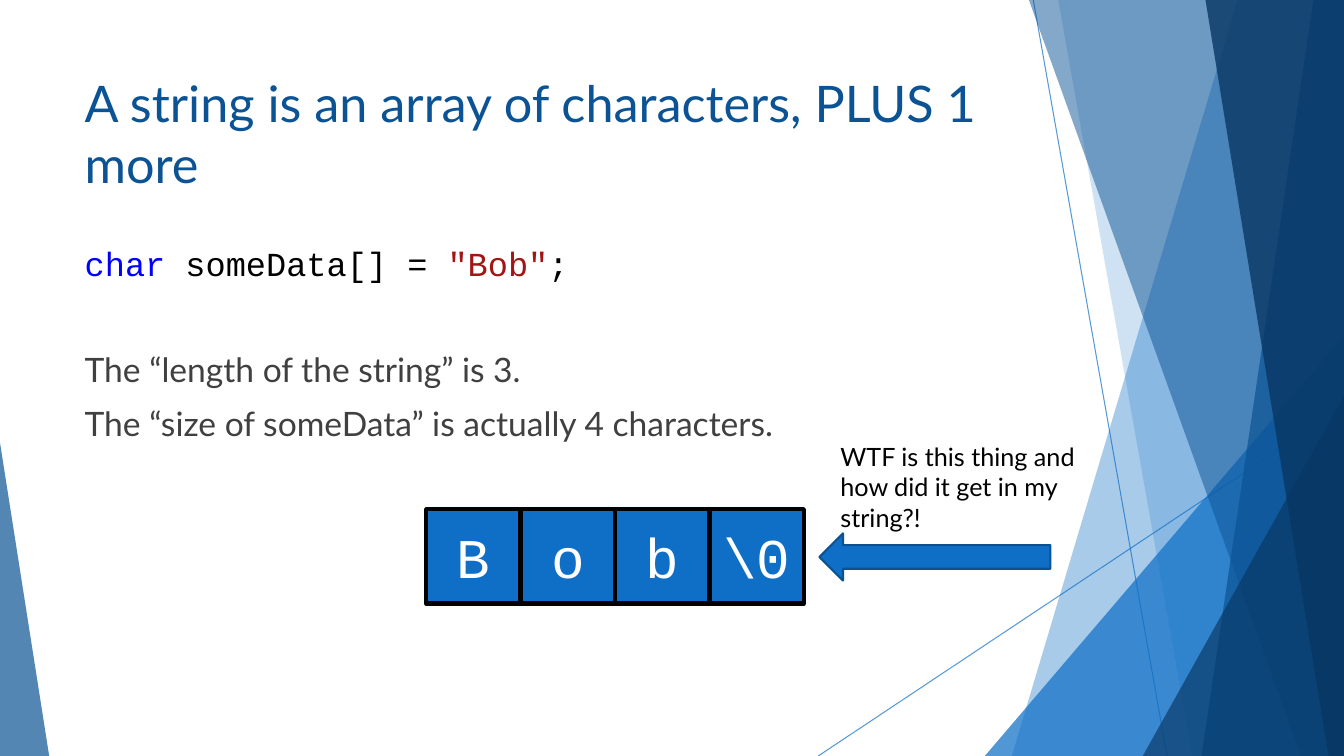
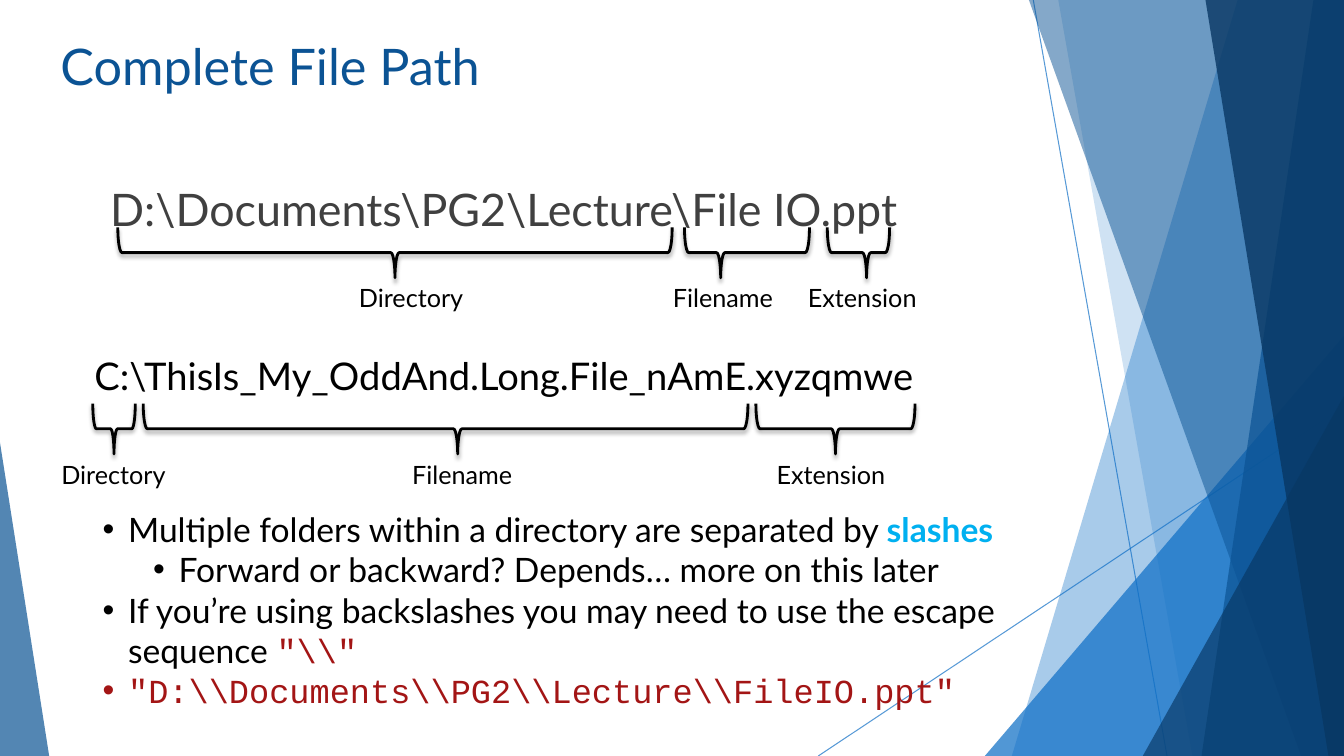
from dataclasses import dataclass
from typing import Any, NamedTuple

from lxml import etree
from pptx import Presentation
from pptx import util as u
from pptx.dml import color
from pptx.enum import shapes, text
from pptx.oxml import ns

Cm, Pt = u.Cm, u.Pt
KIND, ALIGN, ANCHOR = shapes.MSO_SHAPE, text.PP_ALIGN, text.MSO_ANCHOR
WIDE, HIGH = 33.87, 19.05
BLUE, DEEP, NAVY, EDGE = "0F6FC6", "0B5394", "083763", "0B5292"
BLACK, WHITE, GREY = "000000", "FFFFFF", "404040"
CODE, RED, CYAN = "0000FF", "A31515", "00B0F0"
LATO, MONO = "Lato", "Courier New"


class Box(NamedTuple):
    x: float
    y: float
    w: float
    h: float


class Run(NamedTuple):
    text: str
    hue: str = BLACK
    font: str = LATO
    bold: bool = False


@dataclass
class Para:
    runs: list[Run]
    size: float = 18
    align: Any = ALIGN.LEFT
    before: float = 0
    line: float = 1.0
    level: int = 0
    bullet: bool = False


class Band(NamedTuple):
    """A strip from its slanted left edge to the right side of the slide."""
    top: float
    foot: float
    hue: str
    alpha: int


class Peak(NamedTuple):
    """A triangle standing on the foot of the slide; tip is 0 left, 1 right."""
    x: float
    y: float
    w: float
    tip: int
    hue: str
    alpha: int


class Part(NamedTuple):
    """A brace under a stretch of a file path, with its label."""
    x: float
    span: float
    tip: float
    name: str
    mid: float


RAYS = [(26.04, 0, 29.41, HIGH), (WIDE, 10.24, 20.62, HIGH)]
DECOR = [
    Band(31.19, 25.5, BLUE, 36),
    Band(26.67, 30.05, BLUE, 20),
    Peak(24.82, 8.46, 9.05, 1, BLUE, 72),
    Band(25.93, 32.79, DEEP, 50),
    Band(33.1, 30.28, DEEP, 70),
    Band(30.38, 33.48, NAVY, 80),
    Peak(28.8, 9.98, 5.07, 1, NAVY, 66),
    Peak(0, 11.15, 1.24, 0, DEEP, 70),
]


def put(item: Any, **vals: Any) -> None:
    for key, val in vals.items():
        setattr(item, key, val)


def sub(node: Any, tag: str, **vals: Any) -> Any:
    kid = etree.SubElement(node, ns.qn(tag))
    for key, val in vals.items():
        kid.set(key, str(val))
    return kid


def paint(fill: Any, hue: str, alpha: int = 100) -> None:
    fill.solid()
    fill.fore_color.rgb = color.RGBColor.from_string(hue)
    if alpha < 100:
        node = fill._xPr.find(".//" + ns.qn("a:srgbClr"))
        sub(node, "a:alpha", val=alpha * 1000)


def place(item: Any, box: Box) -> None:
    put(item, left=Cm(box.x), top=Cm(box.y), width=Cm(box.w), height=Cm(box.h))


def style(item: Any, hue: str = "", alpha: int = 100, edge: str = "", thick: float = 0) -> None:
    item.shadow.inherit = False
    if hue:
        paint(item.fill, hue, alpha)
    else:
        item.fill.background()
    if edge:
        paint(item.line.fill, edge)
        item.line.width = Pt(thick)
    else:
        item.line.fill.background()


def mark(para: Any, spec: Para) -> None:
    """Set the bullet and the indent that goes with it."""
    props = para._p.get_or_add_pPr()
    if spec.bullet:
        props.set("marL", str(Cm(0.64 + 1.27 * spec.level)))
        props.set("indent", str(Cm(-0.64)))
        sub(props, "a:buFont", typeface="Arial")
        sub(props, "a:buChar", char="•")
    else:
        put_zero = {"marL": "0", "indent": "0"}
        props.attrib.update(put_zero)
        sub(props, "a:buNone")


def write(item: Any, paras: list[Para], anchor: Any = ANCHOR.TOP) -> None:
    frame = item.text_frame
    put(frame, word_wrap=True, auto_size=text.MSO_AUTO_SIZE.NONE, vertical_anchor=anchor)
    for n, spec in enumerate(paras):
        para = frame.add_paragraph() if n else frame.paragraphs[0]
        put(para, alignment=spec.align, level=spec.level, line_spacing=spec.line,
            space_before=Pt(spec.before), space_after=Pt(0))
        mark(para, spec)
        for bit in spec.runs:
            run = para.add_run()
            run.text = bit.text
            put(run.font, name=bit.font, size=Pt(spec.size), bold=bit.bold)
            paint(run.font.fill, bit.hue)


def note(slide: Any, box: Box, paras: list[Para]) -> None:
    item = slide.shapes.add_textbox(0, 0, 0, 0)
    place(item, box)
    write(item, paras)


def ray(slide: Any, ends: tuple) -> Any:
    line = slide.shapes.add_connector(shapes.MSO_CONNECTOR.STRAIGHT, *map(Cm, ends))
    paint(line.line.fill, BLUE, 70)
    line.line.width = Pt(0.75)
    sub(line.element.spPr, "a:effectLst")
    return line


def facet(slide: Any, spec: Band | Peak) -> Any:
    if isinstance(spec, Band):
        pen = slide.shapes.build_freeform(Cm(spec.top), 0)
        rest = [(WIDE, 0), (WIDE, HIGH), (spec.foot, HIGH)]
        pen.add_line_segments([(Cm(x), Cm(y)) for x, y in rest])
        item = pen.convert_to_shape()
    else:
        item = slide.shapes.add_shape(KIND.ISOSCELES_TRIANGLE, 0, 0, 0, 0)
        place(item, Box(spec.x, spec.y, spec.w, HIGH - spec.y))
        item.adjustments[0] = spec.tip
    style(item, spec.hue, spec.alpha)
    return item


def dress(slide: Any) -> None:
    """Draw the backdrop and hand it to the slide's layout."""
    items = [ray(slide, ends) for ends in RAYS]
    items += [facet(slide, spec) for spec in DECOR]
    first = slide.slide_layout.shapes[0].element
    for n, item in enumerate(items, 100):
        item.element.xpath(".//p:cNvPr")[0].set("id", str(n))
        first.addprevious(item.element)


def fill(slide: Any, title: str, head: Box, body: Box, paras: list[Para]) -> None:
    """Fill the title and body placeholders."""
    top, main = slide.placeholders
    place(top, head)
    write(top, [Para([Run(title, DEEP)], 36)])
    place(main, body)
    write(main, paras)


def array(slide: Any) -> None:
    fill(slide, "A string is an array of characters, PLUS 1 more",
         Box(1.88, 1.7, 23.88, 3.66), Box(1.88, 5.99, 23.88, 10.77), [
             Para([Run("char ", CODE, MONO), Run("someData[] = ", BLACK, MONO),
                   Run('"Bob"', RED, MONO), Run(";", BLACK, MONO)], 24, before=10),
             Para([Run("The “length of the string” is 3.", GREY)], 24, before=47),
             Para([Run("The “size of someData” is actually 4 characters.", GREY)],
                  24, before=10)])
    side = 2.38
    for n, char in enumerate(["B", "o", "b", "\\0"]):
        cell = slide.shapes.add_shape(KIND.RECTANGLE, 0, 0, 0, 0)
        place(cell, Box(10.74 + n * side, 12.83, side, side))
        style(cell, BLUE, edge=BLACK, thick=3)
        write(cell, [Para([Run(char, WHITE, MONO)], 40, ALIGN.CENTER)], ANCHOR.MIDDLE)
    arrow = slide.shapes.add_shape(KIND.LEFT_ARROW, 0, 0, 0, 0)
    place(arrow, Box(20.65, 13.44, 5.82, 1.19))
    style(arrow, BLUE, edge=EDGE, thick=1.5)
    note(slide, Box(20.93, 11, 7.57, 1.8),
         [Para([Run("WTF is this thing and how did it get in my string?!")])])


def brace(slide: Any, part: Part, y: float) -> None:
    deep, wide = 1.27, 3.81
    item = slide.shapes.add_shape(KIND.LEFT_BRACE, 0, 0, 0, 0)
    mid = part.x + part.span / 2
    place(item, Box(mid - deep / 2, y + (deep - part.span) / 2, deep, part.span))
    item.rotation = 270
    item.adjustments[0], item.adjustments[1] = 0.083, part.tip
    style(item, edge=BLACK, thick=2)
    glow = sub(item.element.spPr.find(ns.qn("a:effectLst")), "a:outerShdw",
               blurRad=Pt(3), dist=Pt(2), dir=5400000, rotWithShape=0)
    sub(sub(glow, "a:srgbClr", val=BLACK), "a:alpha", val=35000)
    note(slide, Box(part.mid - wide / 2, y + deep, wide, 1.02),
         [Para([Run(part.name)], align=ALIGN.CENTER)])


def route(slide: Any) -> None:
    fill(slide, "Complete File Path", Box(1.27, 0.76, 22.86, 3.18),
         Box(1.27, 4.45, 22.86, 1.7),
         [Para([Run("D:\\Documents\\PG2\\Lecture\\File IO.ppt", GREY)], 32,
               ALIGN.CENTER, 10)])
    note(slide, Box(1.27, 8.89, 22.86, 1.7),
         [Para([Run("C:\\ThisIs_My_OddAnd.Long.File_nAmE.xyzqmwe")], 27.2,
               ALIGN.CENTER, line=0.9)])
    rows = {
        5.72: [Part(2.97, 13.97, 0.5, "Directory", 10.36),
               Part(17.25, 3.15, 0.29, "Filename", 18.22),
               Part(20.85, 1.57, 0.63, "Extension", 21.73)],
        10.16: [Part(2.34, 1.07, 0.5, "Directory", 2.86),
                Part(3.61, 15.24, 0.52, "Filename", 11.65),
                Part(19.05, 4.01, 0.5, "Extension", 20.94)],
    }
    for y, parts in rows.items():
        for part in parts:
            brace(slide, part, y + 0.01)
    lines = [
        (0, [Run("Multiple folders within a directory are separated by "),
             Run("slashes", CYAN, bold=True)]),
        (1, [Run("Forward or backward? Depends… more on this later")]),
        (0, [Run("If you’re using backslashes you may need to use the escape sequence "),
             Run('"\\\\"', RED, MONO)]),
        (0, [Run('"D:\\\\Documents\\\\PG2\\\\Lecture\\\\FileIO.ppt"', RED, MONO)]),
    ]
    note(slide, Box(2.34, 12.7, 24.18, 5.38),
         [Para(runs, 24, level=level, bullet=True) for level, runs in lines])


def main() -> None:
    deck = Presentation()
    put(deck, slide_width=Cm(WIDE), slide_height=Cm(HIGH))
    layout = deck.slide_layouts[1]
    for n, draw in enumerate([array, route]):
        slide = deck.slides.add_slide(layout)
        if n == 0:
            dress(slide)
        draw(slide)
    deck.save("out.pptx")


if __name__ == "__main__":
    main()
